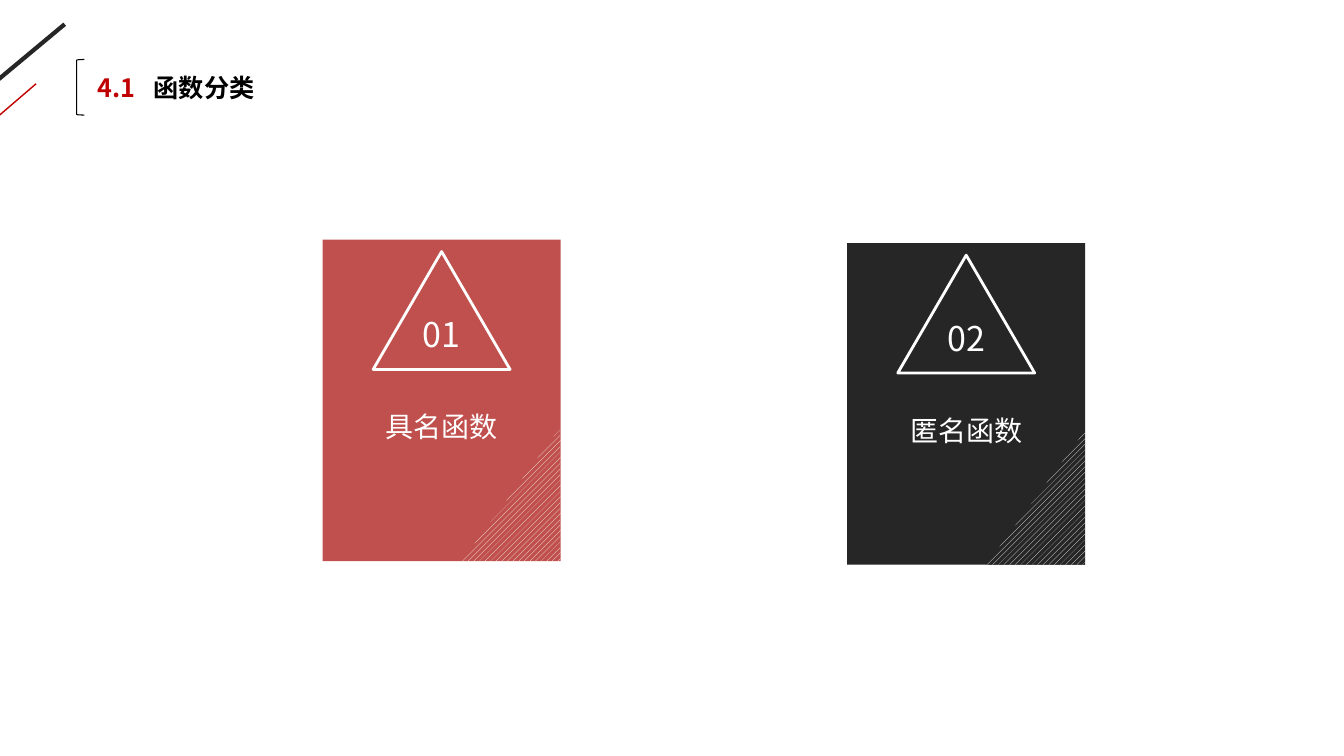
from lxml import etree
from pptx import Presentation
from pptx.dml.color import RGBColor
from pptx.enum.dml import MSO_PATTERN
from pptx.enum.shapes import MSO_CONNECTOR, MSO_SHAPE
from pptx.enum.text import MSO_ANCHOR, MSO_AUTO_SIZE, PP_ALIGN
from pptx.oxml.ns import qn
from pptx.util import Cm, Pt

STRAIGHT = MSO_CONNECTOR.STRAIGHT
RECT = MSO_SHAPE.RECTANGLE
CORNER = MSO_SHAPE.RIGHT_TRIANGLE
TRIANGLE = MSO_SHAPE.ISOSCELES_TRIANGLE
BRACKET = MSO_SHAPE.LEFT_BRACKET
STRIPES = MSO_PATTERN.WIDE_UPWARD_DIAGONAL
MIDDLE = MSO_ANCHOR.MIDDLE
LEFT, CENTER = PP_ALIGN.LEFT, PP_ALIGN.CENTER
NO_FIT = MSO_AUTO_SIZE.NONE

FONT = "Noto Sans CJK SC"
RED, DARK, WHITE, BLACK = "C00000", "262626", "FFFFFF", "000000"
CARD_W, CARD_H = 6, 8.1
CORNER_W, CORNER_H = 2.49, 3.38
BADGE_W, BADGE_H = 3.45, 2.97
CARDS = [
    (8.13, 6.04, "C0504D", "01", "具名函数"),
    (21.35, 6.13, DARK, "02", "匿名函数"),
]


def rgb(color):
    """Turn a hex string into a colour."""
    return RGBColor.from_string(color)


def box(x, y, w, h):
    """Return a position and size given in centimetres."""
    return Cm(x), Cm(y), Cm(w), Cm(h)


def style_run(r, size, color, bold=False):
    """Format one run for Latin and East Asian text."""
    r.font.size = Pt(size)
    r.font.bold = bold
    r.font.color.rgb = rgb(color)
    r.font.name = FONT
    etree.SubElement(r.font._element, qn("a:ea")).set("typeface", FONT)


def add_line(slide, start, end, color, width):
    """Draw a straight line without a shadow."""
    s = slide.shapes.add_connector(STRAIGHT, *map(Cm, start + end))
    s.line.color.rgb = rgb(color)
    s.line.width = Pt(width)
    etree.SubElement(s._element.spPr, qn("a:effectLst"))


def add_shape(shapes, kind, place, fill=None, line=None, width=1):
    """Add a preset shape with an optional fill and outline."""
    s = shapes.add_shape(kind, *box(*place))
    s.shadow.inherit = False
    if fill:
        s.fill.solid()
        s.fill.fore_color.rgb = rgb(fill)
    else:
        s.fill.background()
    if line:
        s.line.color.rgb = rgb(line)
        s.line.width = Pt(width)
    else:
        s.line.fill.background()
    return s


def write_centred(s, text, size):
    """Write white text in the middle of a shape."""
    tf = s.text_frame
    tf.word_wrap = True
    tf.vertical_anchor = MIDDLE
    tf.text = text
    p = tf.paragraphs[0]
    p.alignment = CENTER
    style_run(p.runs[0], size, WHITE)


def add_title(slide, number, text):
    """Fill the title placeholder with a red number and a black heading."""
    s = slide.shapes.title
    s.left, s.top, s.width, s.height = box(2.21, 1.7, 4.8, 1.02)
    tf = s.text_frame
    tf.word_wrap = True
    tf.auto_size = NO_FIT
    tf.vertical_anchor = MIDDLE
    p = tf.paragraphs[0]
    p.alignment = LEFT
    tabs = etree.SubElement(p._p.get_or_add_pPr(), qn("a:tabLst"))
    etree.SubElement(tabs, qn("a:tab"), pos=str(Cm(1.41)), algn="l")
    for part, color in ((number + "\t", RED), (text, BLACK)):
        r = p.add_run()
        r.text = part
        style_run(r, 18, color, bold=True)


def add_card(slide, x, y, color, number, text):
    """Add a grouped card with a striped corner, a numbered triangle and a label."""
    shapes = slide.shapes.add_group_shape().shapes
    add_shape(shapes, RECT, (x, y, CARD_W, CARD_H), color)

    corner = (x + CARD_W - CORNER_W, y + CARD_H - CORNER_H, CORNER_W, CORNER_H)
    s = add_shape(shapes, CORNER, corner)
    s.fill.patterned()
    s.fill.pattern = STRIPES
    s.fill.fore_color.rgb = rgb(WHITE)
    s.fill.back_color.rgb = rgb(color)
    s._element.spPr.xfrm.set("flipH", "1")

    badge = (x + (CARD_W - BADGE_W) / 2, y + 0.3, BADGE_W, BADGE_H)
    s = add_shape(shapes, TRIANGLE, badge, line=WHITE, width=2)
    s.text_frame.margin_bottom = Cm(0.41)
    write_centred(s, number, 24.3)

    s = shapes.add_textbox(*box(x, y + 3.6, CARD_W, 2.21))
    write_centred(s, text, 20)


def main():
    """Build and save the slide."""
    prs = Presentation()
    prs.slide_width, prs.slide_height = Cm(33.87), Cm(19.05)
    slide = prs.slides.add_slide(prs.slide_layouts[5])
    add_line(slide, (1.63, 0.61), (-0.53, 2.41), DARK, 3)
    add_line(slide, (0.91, 2.11), (-0.15, 3.02), RED, 1)
    add_title(slide, "4.1", "函数分类")
    add_shape(slide.shapes, BRACKET, (1.93, 1.5, 0.2, 1.4), line=BLACK, width=0.75)
    for card in CARDS:
        add_card(slide, *card)
    prs.save("out.pptx")


if __name__ == "__main__":
    main()
